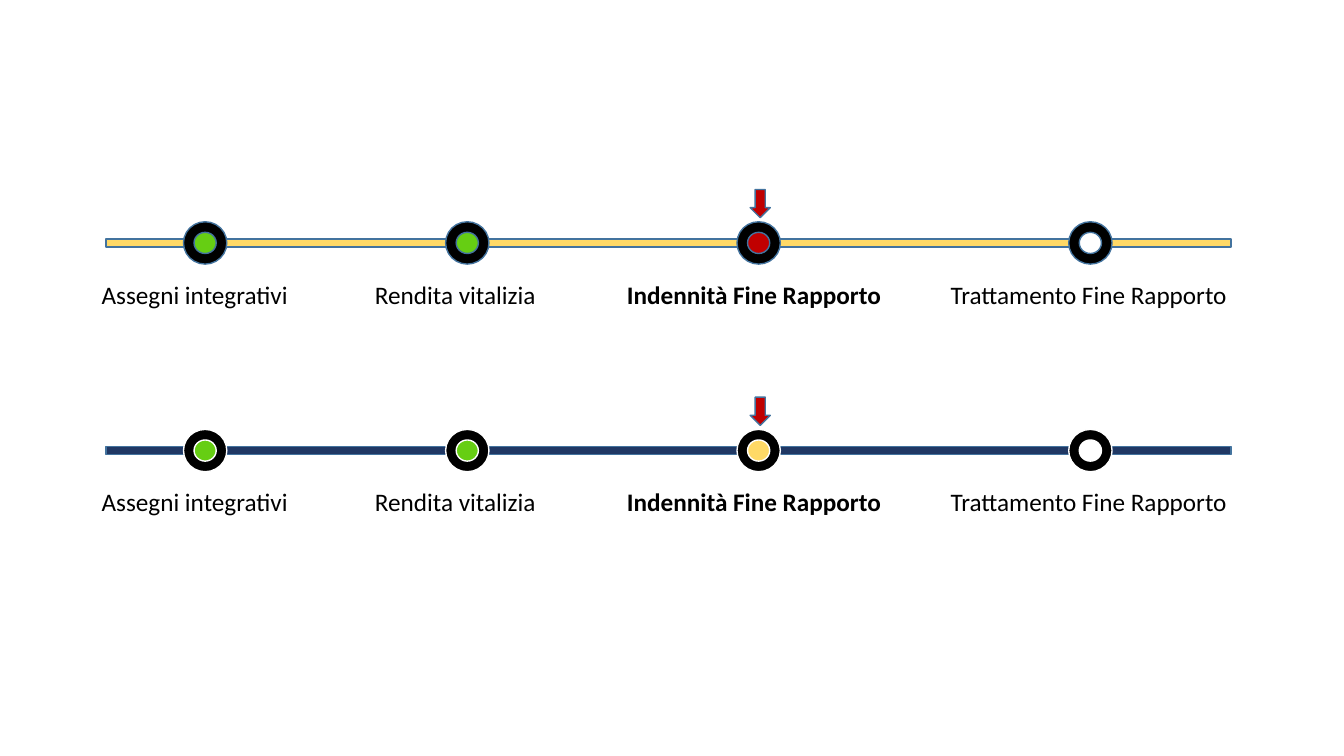
from pptx import Presentation
from pptx.dml.color import RGBColor
from pptx.enum import shapes, text
from pptx.util import Inches, Pt

BLACK = RGBColor(0x00, 0x00, 0x00)
WHITE = RGBColor(0xFF, 0xFF, 0xFF)
YELLOW = RGBColor(0xFF, 0xD9, 0x66)
NAVY = RGBColor(0x20, 0x38, 0x64)
GREEN = RGBColor(0x66, 0xCE, 0x13)
RED = RGBColor(0xC0, 0x00, 0x00)
BLUE_EDGE = RGBColor(0x43, 0x73, 0x9E)

KIND = shapes.MSO_SHAPE

# left and width of each stretch of track between the stops
TRACKS = [(1.05, 3.46), (4.83, 2.52), (7.56, 4.65)]

# ring left, label left, label width, label
STOPS = [
    (1.82, 0.91, 2.25, "Assegni integrativi"),
    (4.42, 3.62, 2.05, "Rendita vitalizia"),
    (7.31, 6.12, 2.75, "Indennità Fine Rapporto"),
    (10.6, 9.33, 2.98, "Trattamento Fine Rapporto"),
]
CURRENT = 2


def add_figure(page, kind, left, top, width, height, fill, edge=BLUE_EDGE):
    figure = page.shapes.add_shape(
        kind, Inches(left), Inches(top), Inches(width), Inches(height))
    figure.shadow.inherit = False
    figure.fill.solid()
    figure.fill.fore_color.rgb = fill
    figure.line.color.rgb = edge
    figure.line.width = Pt(1)


def add_label(page, left, top, width, wording, bold):
    box = page.shapes.add_textbox(
        Inches(left), Inches(top), Inches(width), Inches(0.4))
    frame = box.text_frame
    frame.word_wrap = True
    frame.auto_size = text.MSO_AUTO_SIZE.SHAPE_TO_FIT_TEXT
    para = frame.paragraphs[0]
    para.text = wording
    para.font.name = "Calibri"
    para.font.size = Pt(18)
    para.font.bold = bold
    para.font.color.rgb = BLACK


def add_timeline(page, top, track_fill, dots, ring_edge):
    """Draw one timeline; top is that of its arrow, dots holds (fill, edge)."""
    for left, width in TRACKS:
        add_figure(page, KIND.RECTANGLE, left, top + 0.49, width, 0.08, track_fill)
    for index, (left, label_left, label_width, wording) in enumerate(STOPS):
        current = index == CURRENT
        add_figure(page, KIND.OVAL, left + 0.08, top + 0.37, 0.28, 0.31, *dots[index])
        add_figure(page, KIND.DONUT, left, top + 0.32, 0.43, 0.42, BLACK, ring_edge)
        add_label(page, label_left, top + 0.84, label_width, wording, current)
        if current:
            add_figure(page, KIND.DOWN_ARROW, left + 0.13, top, 0.2, 0.28, RED)


def main():
    deck = Presentation()
    deck.slide_width = Inches(13.33)
    deck.slide_height = Inches(7.5)
    page = deck.slides.add_slide(deck.slide_layouts[6])
    done = (GREEN, BLUE_EDGE)
    add_timeline(page, 1.88, YELLOW,
                 [done, done, (RED, BLUE_EDGE), (WHITE, BLUE_EDGE)], BLUE_EDGE)
    add_timeline(page, 3.94, NAVY,
                 [done, done, (YELLOW, BLUE_EDGE), (WHITE, WHITE)], WHITE)
    deck.save("out.pptx")


if __name__ == "__main__":
    main()
